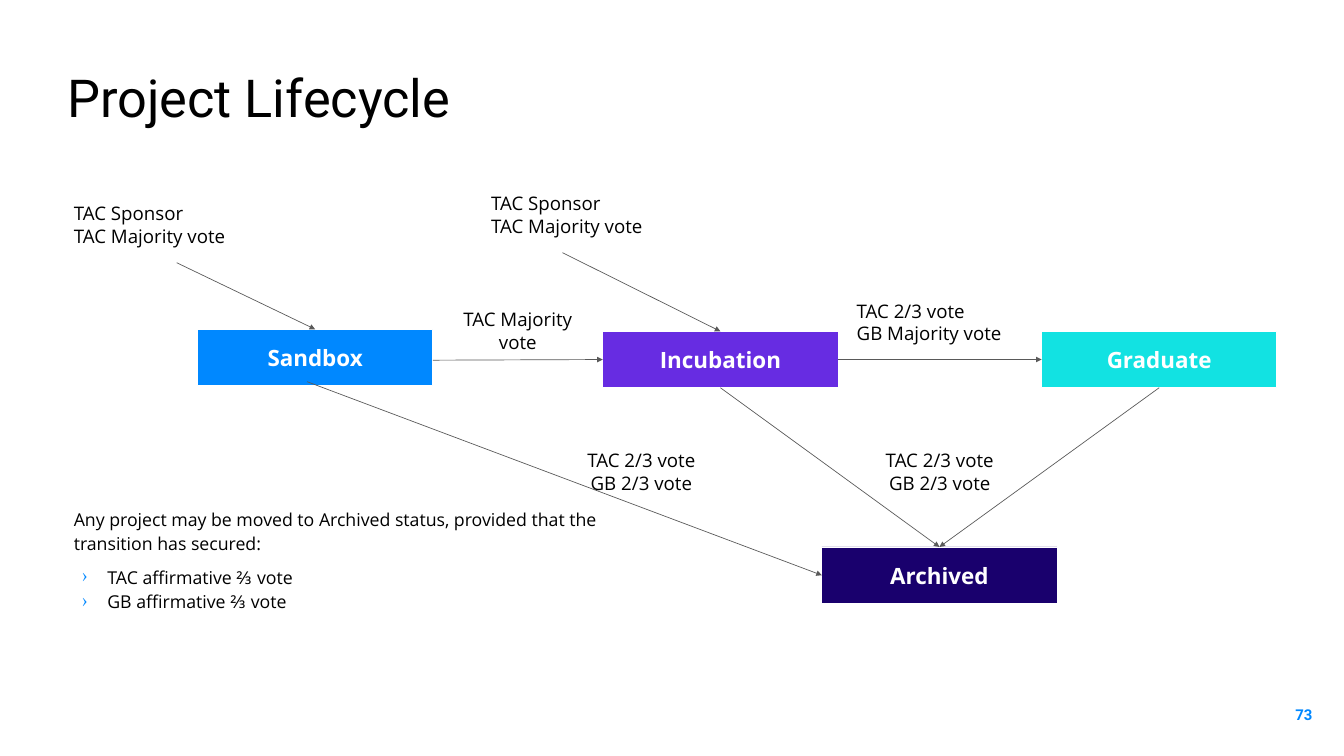
from lxml.etree import SubElement
from pptx import Presentation
from pptx.dml.color import RGBColor
from pptx.enum.shapes import MSO_CONNECTOR as Conn, MSO_SHAPE as Shape
from pptx.enum.text import MSO_ANCHOR as Anchor, PP_ALIGN as Align
from pptx.oxml.ns import qn
from pptx.util import Inches, Pt

BLUE, WHITE, BLACK, GREY = "0088FF", "FFFFFF", "000000", "595959"
BODY, HEAD = "Open Sans", "Roboto"
BOX_W, BOX_H, LABEL_H = 3.5, 0.84, 1.14
TOP, LEFT, BOTTOM, RIGHT = range(4)  # connection sites of a rectangle

STAGES = {  # name: left, top, fill
    "Sandbox": (2.94, 4.9, BLUE),
    "Incubation": (8.97, 4.93, "672CE2"),
    "Graduate": (15.5, 4.93, "12E2E2"),
    "Archived": (12.23, 8.14, "19006D"),
}
ENTRY = ["TAC Sponsor", "TAC Majority vote"]
EXIT = ["TAC 2/3 vote", "GB 2/3 vote"]
LABELS = [  # left, top, width, alignment, lines
    (1, 2.77, 3.26, Align.LEFT, ENTRY),
    (7.21, 2.62, 3.26, Align.LEFT, ENTRY),
    (6.37, 4.35, 2.67, Align.CENTER, ["TAC Majority", "vote"]),
    (12.65, 4.22, 2.67, Align.LEFT, ["TAC 2/3 vote", "GB Majority vote"]),
    (8.21, 6.45, 2.67, Align.CENTER, EXIT),
    (12.65, 6.45, 2.67, Align.CENTER, EXIT),
]
ARROWS = [  # start as a point or (stage, site), then end stage and site
    ((2.63, 3.91), "Sandbox", TOP),
    ((8.37, 3.76), "Incubation", TOP),
    ((6.44, 5.36), "Incubation", LEFT),
    (("Incubation", RIGHT), "Graduate", LEFT),
    ((4.57, 5.68), "Archived", LEFT),
    (("Incubation", BOTTOM), "Archived", TOP),
    (("Graduate", BOTTOM), "Archived", TOP),
]
RULE = "Any project may be moved to Archived status, provided that the transition has secured:"
VOTES = ["TAC affirmative ⅔ vote", "GB affirmative ⅔ vote"]


def rgb(code):
    return RGBColor.from_string(code)


def style(para, size, color=BLACK, name=BODY, bold=False, align=Align.LEFT):
    para.alignment = align
    font = para.font
    font.size, font.name, font.bold = Pt(size), name, bold
    font.color.rgb = rgb(color)


def setup(frame, inset=0.1, anchor=Anchor.MIDDLE):
    frame.word_wrap = True
    frame.vertical_anchor = anchor
    frame.margin_left = frame.margin_right = Inches(inset)
    frame.margin_top = frame.margin_bottom = Inches(inset)


def add_text(slide, left, top, width, height, lines, **opts):
    area = map(Inches, (left, top, width, height))
    frame = slide.shapes.add_textbox(*area).text_frame
    setup(frame, **opts)
    frame.text = "\n".join(lines)
    return frame.paragraphs


def add_stage(slide, name, left, top, fill):
    area = map(Inches, (left, top, BOX_W, BOX_H))
    box = slide.shapes.add_shape(Shape.RECTANGLE, *area)
    box.shadow.inherit = False
    box.fill.solid()
    box.fill.fore_color.rgb = rgb(fill)
    box.line.color.rgb = rgb(WHITE)
    box.line.width = Pt(0.75)
    setup(box.text_frame)
    box.text_frame.text = name
    style(box.text_frame.paragraphs[0], 24, WHITE, bold=True, align=Align.CENTER)
    return box


def add_arrow(slide, boxes, start, stage, site):
    glued = start[0] in boxes
    x, y = (0, 0) if glued else map(Inches, start)
    line = slide.shapes.add_connector(Conn.STRAIGHT, x, y, x, y)
    if glued:
        line.begin_connect(boxes[start[0]], start[1])
    line.end_connect(boxes[stage], site)
    line.line.color.rgb = rgb(GREY)
    line.line.width = Pt(0.75)
    props = line._element.spPr
    SubElement(props.find(qn("a:ln")), qn("a:tailEnd"), type="triangle")
    SubElement(props, qn("a:effectLst"))


def add_bullet(para):
    props = para._p.get_or_add_pPr()
    props.set("marL", str(Inches(0.5)))
    props.set("indent", str(Inches(-0.38)))
    color = SubElement(props, qn("a:buClr"))
    SubElement(color, qn("a:srgbClr"), val=BLUE)
    SubElement(props, qn("a:buChar"), char="›")


def main():
    deck = Presentation()
    deck.slide_width, deck.slide_height = Inches(20), Inches(11.25)
    slide = deck.slides.add_slide(deck.slide_layouts[5])

    title = slide.shapes.title
    title.left, title.top = Inches(1), Inches(0.97)
    title.width, title.height = Inches(18.64), Inches(1.25)
    setup(title.text_frame, 0, Anchor.TOP)
    title.text_frame.text = "Project Lifecycle"
    style(title.text_frame.paragraphs[0], 56, name=HEAD)

    boxes = {name: add_stage(slide, name, *spec) for name, spec in STAGES.items()}
    for arrow in ARROWS:
        add_arrow(slide, boxes, *arrow)
    for left, top, width, align, lines in LABELS:
        for para in add_text(slide, left, top, width, LABEL_H, lines):
            style(para, 20, align=align)

    paras = add_text(slide, 1, 7.42, 8.93, 2.77, [RULE, *VOTES], anchor=Anchor.TOP)
    for para in paras[1:]:
        add_bullet(para)
    for para in paras:
        para.line_spacing = 1.15
        style(para, 19)
    paras[1].space_before = Pt(10)

    number = add_text(slide, 18.53, 10.2, 1.2, 0.86, ["73"], inset=0.2)
    style(number[0], 16, BLUE, HEAD, True, Align.RIGHT)
    deck.save("out.pptx")


if __name__ == "__main__":
    main()
